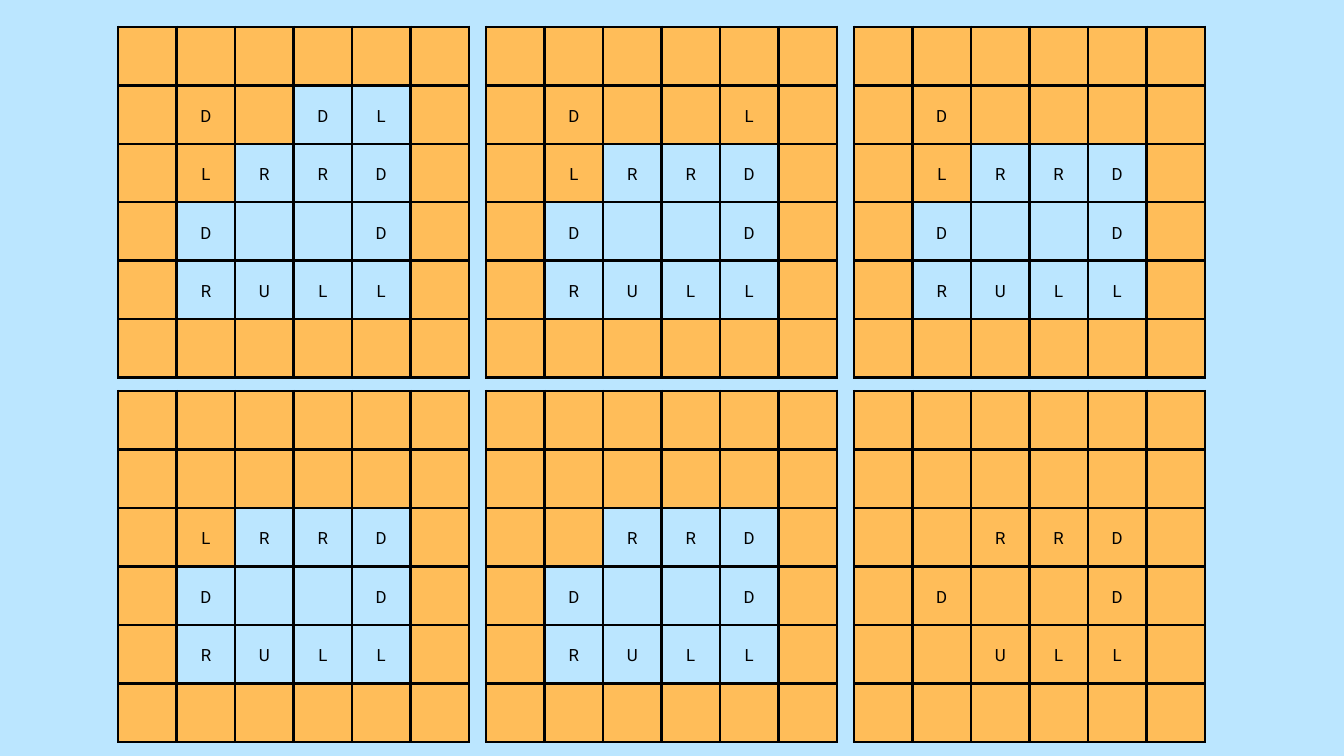
from lxml.etree import fromstring
from pptx import Presentation
from pptx.dml.color import RGBColor
from pptx.enum.text import MSO_ANCHOR, PP_ALIGN
from pptx.oxml.ns import nsdecls
from pptx.util import Inches, Pt

COLORS = {"water": "BBE6FF", "sand": "FFBD59", "ink": "000000"}
SIZE = 6
CELL = Inches(5.22) // SIZE
LEFT, TOP = Inches(1.76), Inches(0.4)
STEP_X, STEP_Y = Inches(5.475), Inches(5.42)
PAD = Inches(0.21)

# Lower case and "#" are sand, upper case and "." are water.
LOW = ["D..D", "RULL"]
STAGES = [
    ["d#DL", "lRRD", *LOW],
    ["d##l", "lRRD", *LOW],
    ["d###", "lRRD", *LOW],
    ["####", "lRRD", *LOW],
    ["####", "#RRD", *LOW],
    ["####", "#rrd", "d##d", "#ull"],
]


def rgb(name):
    return RGBColor.from_string(COLORS[name])


def edge(cell):
    props = cell._tc.get_or_add_tcPr()
    for spot, side in enumerate("LRTB"):
        props.insert(spot, fromstring(
            f'<a:ln{side} {nsdecls("a")} w="{Pt(3)}"><a:solidFill>'
            f'<a:srgbClr val="{COLORS["ink"]}"/></a:solidFill></a:ln{side}>'))


deck = Presentation()
deck.slide_width, deck.slide_height = Inches(20), Inches(11.25)
slide = deck.slides.add_slide(deck.slide_layouts[6])
slide.background.fill.solid()
slide.background.fill.fore_color.rgb = rgb("water")

for index, inner in enumerate(STAGES):
    down, across = divmod(index, 3)
    grid = slide.shapes.add_table(
        SIZE, SIZE, LEFT + across * STEP_X, TOP + down * STEP_Y,
        SIZE * CELL, SIZE * CELL).table
    grid.first_row = grid.horz_banding = False
    rim = "#" * SIZE
    marks = [rim, *(f"#{line}#" for line in inner), rim]
    for cell, mark in zip(grid.iter_cells(), "".join(marks)):
        if mark == "#" or mark.islower():
            cell.fill.solid()
            cell.fill.fore_color.rgb = rgb("sand")
        else:
            cell.fill.background()
        edge(cell)
        cell.vertical_anchor = MSO_ANCHOR.MIDDLE
        cell.margin_left = cell.margin_right = PAD
        cell.margin_top = cell.margin_bottom = PAD
        para = cell.text_frame.paragraphs[0]
        if mark.isalpha():
            para.text = mark.upper()
        para.alignment = PP_ALIGN.CENTER
        para.line_spacing = Pt(25.2)
        para.font.name, para.font.size = "Roboto", Pt(18)
        para.font.color.rgb = rgb("ink")

deck.save("out.pptx")
